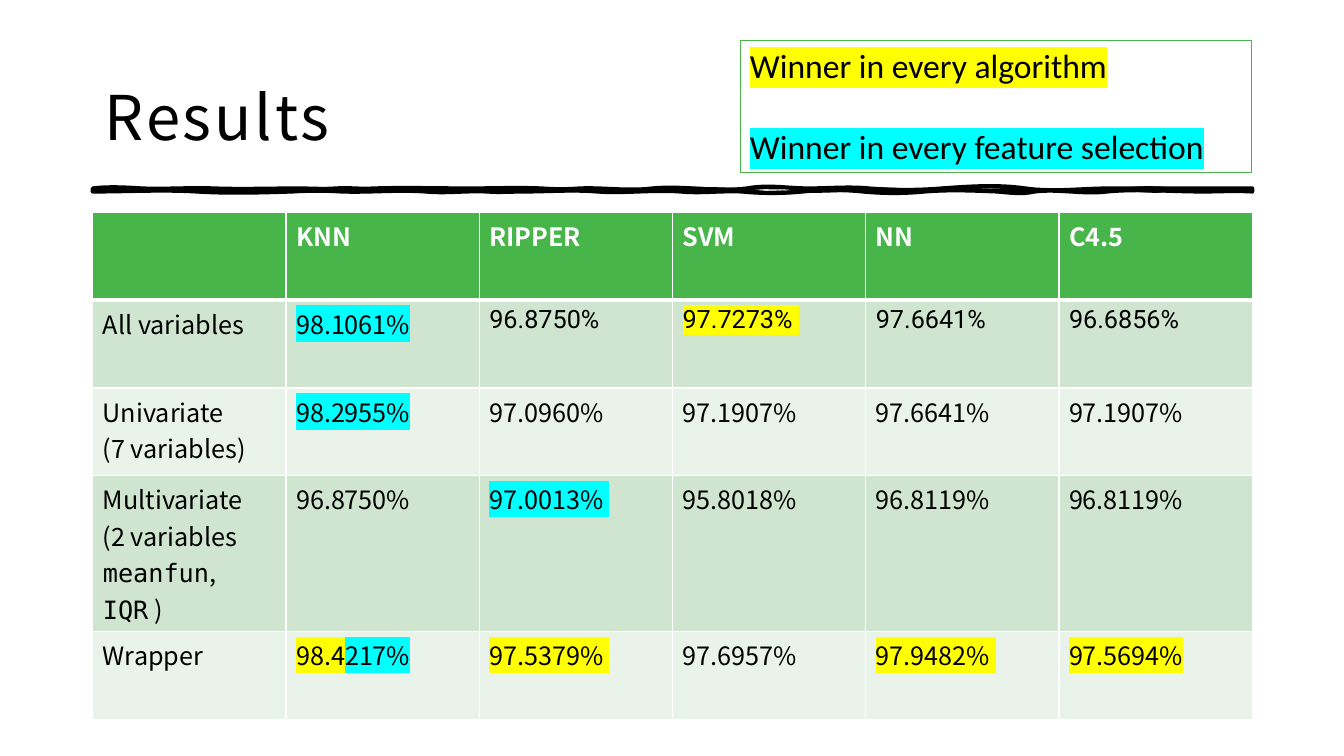
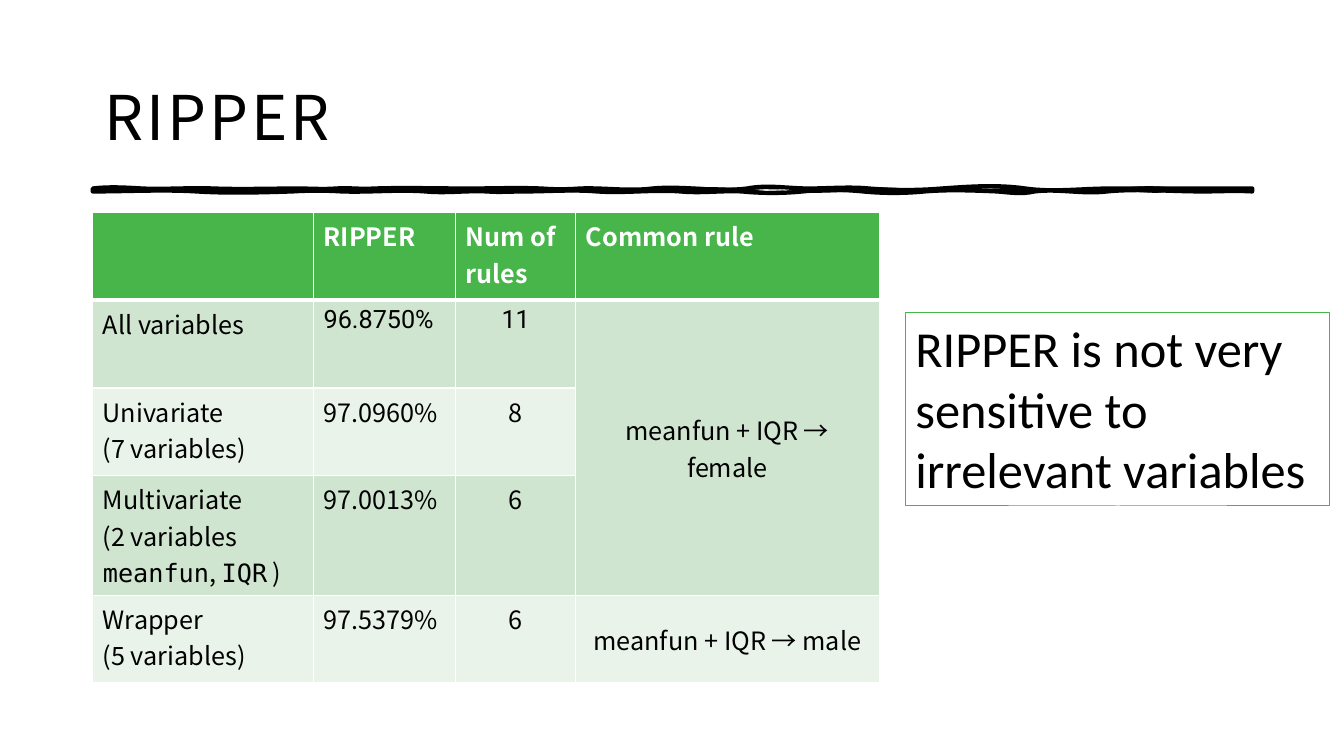
from collections import namedtuple

from lxml.etree import SubElement
from pptx import Presentation
from pptx.dml.color import RGBColor
from pptx.enum.shapes import MSO_SHAPE
from pptx.enum.text import MSO_ANCHOR, MSO_AUTO_SIZE, PP_ALIGN
from pptx.oxml.ns import qn
from pptx.util import Inches, Pt

BLACK = RGBColor(0x00, 0x00, 0x00)
WHITE = RGBColor(0xFF, 0xFF, 0xFF)
GREEN = RGBColor(0x47, 0xB5, 0x4A)
BAND_DARK = RGBColor(0xCF, 0xE5, 0xD0)
BAND_LIGHT = RGBColor(0xE9, 0xF3, 0xE9)
YELLOW = RGBColor(0xFF, 0xFF, 0x00)
CYAN = RGBColor(0x00, 0xFF, 0xFF)

BODY, CODE, NUMBER, NOTE = "Noto Sans CJK SC", "DejaVu Sans Mono", "Roboto", "Calibri"
LEFT, WIDTH = 0.92, 11.5
RULE_TOP, RULE_HEIGHT = 1.87, 0.03
TABLE_TOP, ROW_HEIGHT = 2.11, 0.87

# Edges of the hand-drawn rule: end x, then the two control offsets in 1/100 inch.
STROKE_TOP = [
    (1.41, -2, -1), (2.12, 1, -1), (2.96, 1, 0), (3.33, 0, 1), (3.71, -1, 1),
    (4.65, -1, 0), (5.37, 0, -1), (5.75, 1, 1), (6.47, -1, 3), (7.41, -3, 4),
    (8.02, -4, 0), (8.62, 0, -2), (9.34, 2, 2), (10.17, -2, -4), (11.01, 4, 0),
    (12.42, 0, 0)]
STROKE_BOTTOM = [
    (11.93, -1, 0), (10.98, 0, -3), (10.26, 3, -3), (9.89, 3, 1), (9.17, -1, -2),
    (8.56, 2, 2), (7.96, -2, -2), (7.36, 2, 2), (6.75, -1, 2), (5.92, -2, 2),
    (5.2, -2, 0), (4.83, 0, 1), (4.22, -1, 2), (3.39, -2, 1), (2.9, -1, -1),
    (1.95, 1, 2), (0.92, -2, 0)]
FILL_TOP = [
    (1.52, 2, 2), (1.89, -2, -2), (2.84, 2, -2), (3.45, 2, 1), (4.05, -1, -2),
    (5, 2, 1), (5.49, -1, 0), (6.44, 0, 2), (7.39, -2, -2), (8.1, 2, 3),
    (9.05, -3, -1), (9.66, 1, -1), (10.26, 1, -2), (11.09, 2, 3), (11.7, -3, -3),
    (12.42, 3, 0)]
FILL_BOTTOM = [
    (11.58, 2, -3), (11.21, 3, 0), (10.72, 0, 2), (9.77, -2, 4), (9.05, -4, 4),
    (8.56, -4, 0), (7.85, 0, 3), (7.47, -3, -2), (7.1, 2, 1), (6.38, -1, -3),
    (5.89, 3, -1), (5.06, 1, 1), (4.57, -1, 0), (3.73, 0, 2), (3.36, -2, -1),
    (2.53, 1, 2), (2.04, -2, 1), (1.66, -1, -1), (0.92, 1, 2)]

Run = namedtuple("Run", "text font mark", defaults=(BODY, None))

# A cell is a string or a list of paragraphs; a paragraph is a list of runs.
UNIVARIATE = "Univariate\n(7 variables)"
MULTIVARIATE = [
    [Run("Multivariate")], [Run("(2 variables")],
    [Run("meanfun", CODE), Run(", "), Run("IQR", CODE), Run(" )")]]


def marked(text, colour, font=BODY):
    return [[Run(text, font, colour)]]


def number(text):
    return [[Run(text, NUMBER)]]


RESULTS = [
    ["", "KNN", "RIPPER", "SVM", "NN", "C4.5"],
    ["All variables", marked("98.1061%", CYAN), number("96.8750%"),
     marked("97.7273% ", YELLOW, NUMBER), number("97.6641%"), number("96.6856%")],
    [UNIVARIATE, marked("98.2955%", CYAN), "97.0960%", "97.1907%", "97.6641%",
     "97.1907%"],
    [MULTIVARIATE, "96.8750%", marked("97.0013% ", CYAN), "95.8018%", "96.8119%",
     "96.8119%"],
    ["Wrapper", [[Run("98.4", BODY, YELLOW), Run("217%", BODY, CYAN)]],
     marked("97.5379% ", YELLOW), "97.6957%", marked("97.9482% ", YELLOW),
     marked("97.5694%", YELLOW)],
]
RIPPER = [
    ["", "RIPPER", "Num of rules", "Common rule"],
    ["All variables", number("96.8750%"), number("11"), "meanfun + IQR → female"],
    [UNIVARIATE, "97.0960%", "8", ""],
    [MULTIVARIATE, "97.0013%", "6", ""],
    ["Wrapper\n(5 variables)", "97.5379%", "6", "meanfun + IQR → male"],
]


def add_run(p, run, size, colour=BLACK, bold=False):
    r = p.add_run()
    r.text = run.text
    r.font.size, r.font.name, r.font.bold = Pt(size), run.font, bold
    r.font.color.rgb = colour
    if run.mark is not None:
        rPr = r._r.get_or_add_rPr()
        highlight = SubElement(rPr, qn("a:highlight"))
        SubElement(highlight, qn("a:srgbClr")).set("val", str(run.mark))
        rPr.find(qn("a:solidFill")).addnext(highlight)
    return r


def write(tf, paragraphs, size, align=PP_ALIGN.LEFT, gap=0, **style):
    for i, runs in enumerate(paragraphs):
        p = tf.add_paragraph() if i else tf.paragraphs[0]
        p.alignment = align
        if i and gap:
            p.space_before = Pt(gap)
        for run in runs:
            add_run(p, run, size, **style)


def add_path_step(path, tag, *points):
    step = SubElement(path, qn(f"a:{tag}"))
    for x, y in points:
        SubElement(step, qn("a:pt"), x=str(Inches(x)), y=str(Inches(y)))


def add_wavy_path(path_list, top, bottom, **attributes):
    """Add a closed band of cubic curves, measured from the rule's corner."""
    path = SubElement(path_list, qn("a:path"), w=str(Inches(WIDTH)),
                      h=str(Inches(RULE_HEIGHT)), **attributes)
    add_path_step(path, "moveTo", (0, 0))
    x = 0
    for y, edge in ((0, top), (RULE_HEIGHT, bottom)):
        if y:
            add_path_step(path, "lnTo", (x, y))
        for end, c1, c2 in edge:
            third = (end - LEFT - x) / 3
            add_path_step(path, "cubicBezTo", (x + third, y + c1 / 100),
                          (x + 2 * third, y + c2 / 100), (end - LEFT, y))
            x = end - LEFT
    SubElement(path, qn("a:close"))


def add_rule(s):
    """Draw the rule and hand it to the layout, so that every slide shows it."""
    right, bottom = LEFT + WIDTH, RULE_TOP + RULE_HEIGHT
    builder = s.shapes.build_freeform(Inches(LEFT), Inches(RULE_TOP))
    builder.add_line_segments([(Inches(right), Inches(RULE_TOP)),
                               (Inches(right), Inches(bottom))])
    sp = builder.convert_to_shape()
    sp.shadow.inherit = False
    sp.fill.solid()
    sp.fill.fore_color.rgb = BLACK
    sp.line.color.rgb = BLACK
    sp.line.width = Pt(3)
    path_list = next(sp._element.iter(qn("a:pathLst")))
    path_list.remove(path_list[0])
    add_wavy_path(path_list, STROKE_TOP, STROKE_BOTTOM, fill="none")
    add_wavy_path(path_list, FILL_TOP, FILL_BOTTOM, stroke="0")
    s.slide_layout.shapes._spTree.append(sp._element)


def add_titled_slide(prs, title):
    s = prs.slides.add_slide(prs.slide_layouts[5])
    sp = s.shapes.title
    sp.left, sp.top = Inches(LEFT), Inches(0.4)
    sp.width, sp.height = Inches(WIDTH), Inches(1.45)
    tf = sp.text_frame
    tf.auto_size, tf.word_wrap = MSO_AUTO_SIZE.NONE, True
    tf.vertical_anchor = MSO_ANCHOR.MIDDLE
    tf.margin_left = tf.margin_top = tf.margin_right = Inches(0.12)
    tf.margin_bottom = Inches(0.1)
    p = tf.paragraphs[0]
    p.alignment, p.line_spacing = PP_ALIGN.LEFT, 1.05
    r = add_run(p, Run(title), 44)
    r._r.get_or_add_rPr().set("spc", "200")
    return s


def set_borders(cell, row):
    """White borders, with a heavy one between the header and the body."""
    tcPr = cell._tc.get_or_add_tcPr()
    widths = {"lnL": 1, "lnR": 1, "lnT": 3 if row == 1 else 1,
              "lnB": 3 if row == 0 else 1}
    for i, (side, width) in enumerate(widths.items()):
        ln = SubElement(tcPr, qn(f"a:{side}"), w=str(Pt(width)))
        fill = SubElement(ln, qn("a:solidFill"))
        SubElement(fill, qn("a:srgbClr")).set("val", str(WHITE))
        tcPr.insert(i, ln)


def fill_cell(cell, content, row, align):
    cell.fill.solid()
    cell.fill.fore_color.rgb = (
        GREEN if row == 0 else BAND_DARK if row % 2 else BAND_LIGHT)
    set_borders(cell, row)
    if not content:
        return
    if isinstance(content, str):
        content = [[Run(line)] for line in content.split("\n")]
    write(cell.text_frame, content, 18, align,
          colour=BLACK if row else WHITE, bold=row == 0)


def add_grid(s, rows, widths, centred=()):
    """Add a banded table; body cells of the centred columns are centred."""
    frame = s.shapes.add_table(
        len(rows), len(widths), Inches(LEFT), Inches(TABLE_TOP),
        Inches(sum(widths)), Inches(ROW_HEIGHT * len(rows)))
    table = frame.table
    for column, width in zip(table.columns, widths):
        column.width = Inches(width)
    for i, row in enumerate(rows):
        table.rows[i].height = Inches(ROW_HEIGHT)
        for j, content in enumerate(row):
            align = PP_ALIGN.CENTER if i and j in centred else PP_ALIGN.LEFT
            fill_cell(table.cell(i, j), content, i, align)
    return table


def add_note(s, left, top, width, height, paragraphs, size, gap=0):
    sp = s.shapes.add_shape(MSO_SHAPE.RECTANGLE, Inches(left), Inches(top),
                            Inches(width), Inches(height))
    sp.shadow.inherit = False
    sp.fill.solid()
    sp.fill.fore_color.rgb = WHITE
    sp.line.color.rgb = GREEN
    sp.line.width = Pt(0.75)
    tf = sp.text_frame
    tf.word_wrap, tf.auto_size = True, MSO_AUTO_SIZE.SHAPE_TO_FIT_TEXT
    tf.vertical_anchor = MSO_ANCHOR.TOP
    write(tf, paragraphs, size, gap=gap)


def add_results_slide(prs):
    s = add_titled_slide(prs, "Results")
    add_rule(s)
    columns = len(RESULTS[0])
    add_grid(s, RESULTS, [WIDTH / columns] * columns)
    legend = [[Run("Winner in every algorithm", NOTE, YELLOW)],
              [Run("Winner in every feature selection", NOTE, CYAN)]]
    add_note(s, 7.34, 0.4, 5.07, 1.31, legend, 24, gap=29)


def add_ripper_slide(prs):
    s = add_titled_slide(prs, "RIPPER")
    table = add_grid(s, RIPPER, [2.19, 1.41, 1.19, 3.01], centred=(2, 3))
    table.cell(1, 3).merge(table.cell(3, 3))
    for row in (1, 4):
        table.cell(row, 3).vertical_anchor = MSO_ANCHOR.MIDDLE
    finding = "RIPPER is not very sensitive to irrelevant variables"
    add_note(s, 8.98, 3.1, 4.21, 1.92, [[Run(finding, NOTE)]], 36)


def main():
    prs = Presentation()
    prs.slide_width, prs.slide_height = Inches(13.33), Inches(7.5)
    add_results_slide(prs)
    add_ripper_slide(prs)
    prs.save("out.pptx")


if __name__ == "__main__":
    main()
